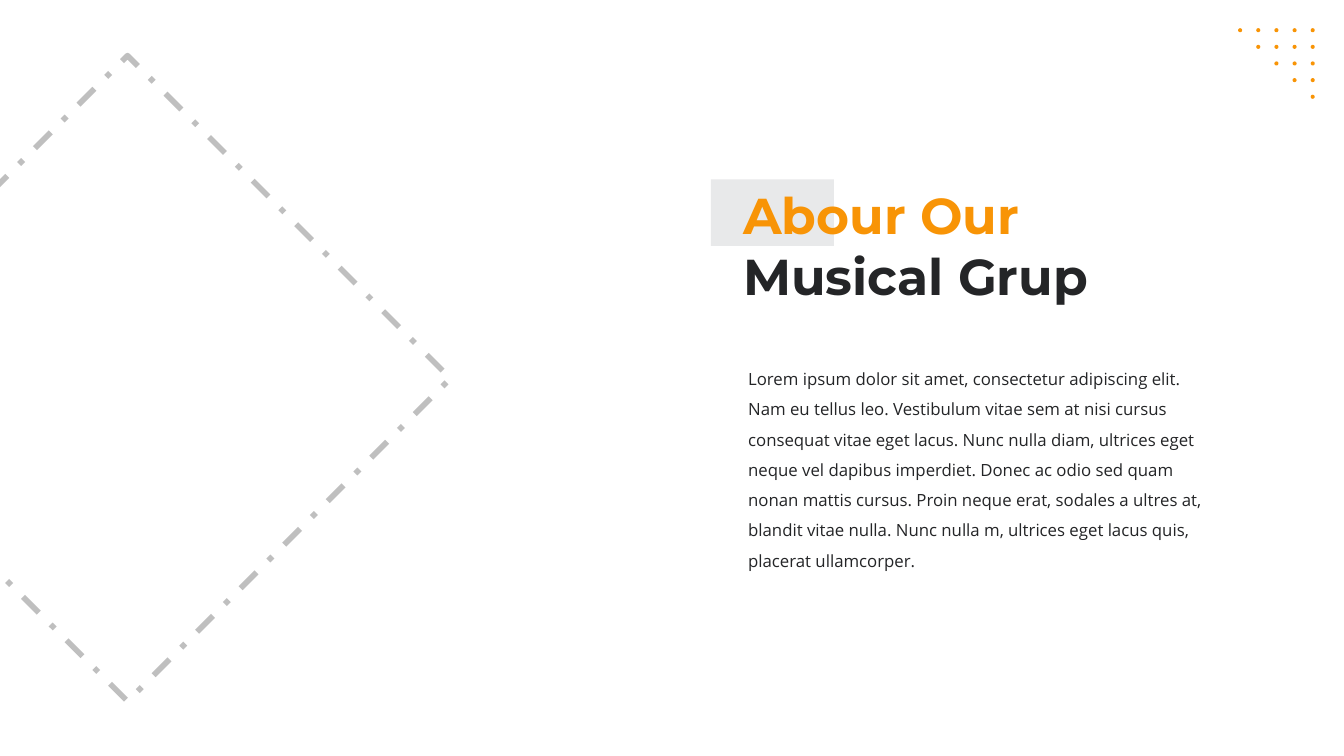
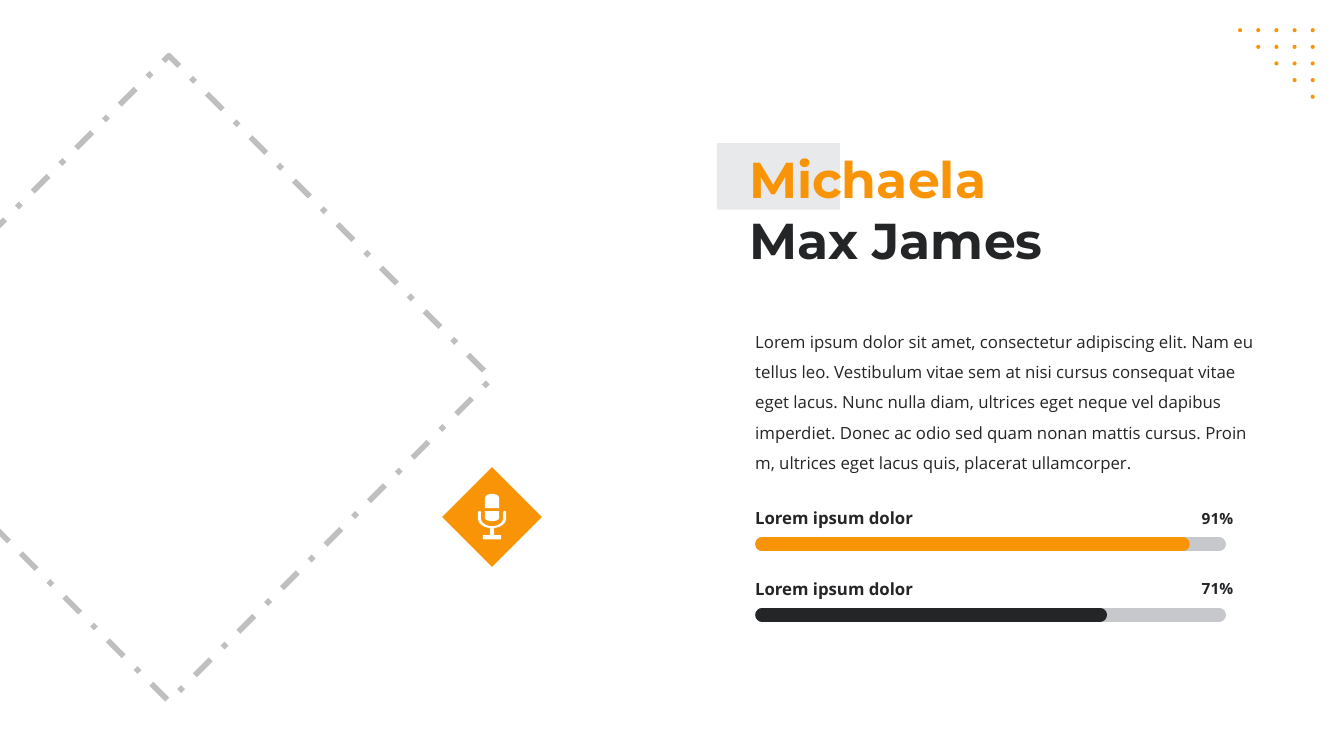
import math

import lxml.etree
import pptx
import pptx.dml.color
import pptx.enum.dml
import pptx.enum.shapes
import pptx.enum.text
import pptx.oxml.ns
import pptx.util

Inches = pptx.util.Inches
Pt = pptx.util.Pt
RGBColor = pptx.dml.color.RGBColor
Shape = pptx.enum.shapes.MSO_SHAPE
Align = pptx.enum.text.PP_ALIGN
qn = pptx.oxml.ns.qn

ORANGE = RGBColor(0xF8, 0x94, 0x06)
DARK = RGBColor(0x24, 0x25, 0x27)
WHITE = RGBColor(0xFF, 0xFF, 0xFF)
TAG_GRAY = RGBColor(0xE8, 0xE9, 0xEA)
DASH_GRAY = RGBColor(0xBF, 0xBF, 0xBF)
TRACK_GRAY = RGBColor(0xC6, 0xC8, 0xCB)
TITLE_FONT = "Montserrat"
TEXT_FONT = "Open Sans"

ABOUT = {
    "title": ("Abour Our", "Musical Grup"),
    "title_at": (7.27, 1.78),
    "body": "Lorem ipsum dolor sit amet, consectetur adipiscing elit. Nam eu tellus leo. "
            "Vestibulum vitae sem at nisi cursus consequat vitae eget lacus. Nunc nulla diam, "
            "ultrices eget neque vel dapibus imperdiet. Donec ac odio sed quam nonan mattis "
            "cursus. Proin neque erat, sodales a ultres at, blandit vitae nulla. Nunc nulla m, "
            "ultrices eget lacus quis, placerat ullamcorper.",
    "body_box": (7.32, 3.51, 4.87, 2.22),
    "diamond_left": -1,
}
MEMBER = {
    "title": ("Michaela", "Max James"),
    "title_at": (7.33, 1.42),
    "body": "Lorem ipsum dolor sit amet, consectetur adipiscing elit. Nam eu tellus leo. "
            "Vestibulum vitae sem at nisi cursus consequat vitae eget lacus. Nunc nulla diam, "
            "ultrices eget neque vel dapibus imperdiet. Donec ac odio sed quam nonan mattis "
            "cursus. Proin m, ultrices eget lacus quis, placerat ullamcorper.",
    "body_box": (7.39, 3.14, 5.16, 1.62),
    "diamond_left": -0.59,
}
SKILLS = [
    ("Lorem ipsum dolor", "91%", 11.73, ORANGE),
    ("Lorem ipsum dolor", "71%", 10.91, DARK),
]
SKILL_TOP, SKILL_STEP = 5, 0.7
BAR_LEFT, BAR_RIGHT = 7.56, 12.09
DOT_COUNT, DOT_SIZE = 5, 0.04
DOT_LEFT, DOT_TOP, DOT_STEP_X, DOT_STEP_Y = 12.28, 0.28, 0.18, 0.165


def place(shape, box):
    shape.left, shape.top, shape.width, shape.height = map(Inches, box)


def add_filled(slide, kind, box, color):
    shape = slide.shapes.add_shape(kind, *map(Inches, box))
    shape.shadow.inherit = False
    shape.fill.solid()
    shape.fill.fore_color.rgb = color
    shape.line.fill.background()
    return shape


def style(paragraph, font_name, size, color, bold=False, align=Align.LEFT):
    paragraph.alignment = align
    font = paragraph.font
    font.name, font.size, font.bold = font_name, Pt(size), bold
    font.color.rgb = color


def prepare_frame(frame):
    frame.word_wrap = True
    frame.auto_size = pptx.enum.text.MSO_AUTO_SIZE.NONE
    frame.vertical_anchor = pptx.enum.text.MSO_ANCHOR.TOP


def add_label(slide, box, text, size, align):
    label = slide.shapes.add_textbox(*map(Inches, box))
    prepare_frame(label.text_frame)
    paragraph = label.text_frame.paragraphs[0]
    paragraph.text = text
    style(paragraph, TEXT_FONT, size, DARK, True, align)


def add_bar(slide, right, y, color):
    bar = slide.shapes.add_connector(
        pptx.enum.shapes.MSO_CONNECTOR.STRAIGHT,
        Inches(BAR_LEFT), Inches(y), Inches(right), Inches(y))
    bar.line.color.rgb = color
    bar.line.width = Pt(10)
    properties = bar.element.spPr
    properties.find(qn("a:ln")).set("cap", "rnd")
    lxml.etree.SubElement(properties, qn("a:effectLst"))


def add_diamond_outline(slide, left):
    diamond = slide.shapes.add_shape(
        Shape.RECTANGLE, *map(Inches, (left, 1.49, 4.53, 4.53)))
    diamond.rotation = 45
    diamond.shadow.inherit = False
    diamond.fill.background()
    diamond.line.color.rgb = DASH_GRAY
    diamond.line.width = Pt(4)
    diamond.line.dash_style = pptx.enum.dml.MSO_LINE.DASH_DOT


def add_corner_dots(slide):
    for row in range(DOT_COUNT):
        for column in range(row, DOT_COUNT):
            left = DOT_LEFT + column * DOT_STEP_X
            top = DOT_TOP + row * DOT_STEP_Y
            add_filled(slide, Shape.OVAL, (left, top, DOT_SIZE, DOT_SIZE), ORANGE)


def add_title(slide, lines, left, top):
    title = slide.shapes.title
    place(title, (left, top, 4.28, 1.31))
    frame = title.text_frame
    prepare_frame(frame)
    frame.text = "\n".join(lines)
    for paragraph, color in zip(frame.paragraphs, (ORANGE, DARK)):
        style(paragraph, TITLE_FONT, 36, color, True)
    tag = add_filled(slide, Shape.RECTANGLE, (left - 0.22, top, 1.22, 0.66), TAG_GRAY)
    title.element.addprevious(tag.element)


def add_body(slide, text, box):
    body = slide.placeholders[1]
    place(body, box)
    prepare_frame(body.text_frame)
    paragraph = body.text_frame.paragraphs[0]
    paragraph.text = text
    paragraph.line_spacing = 1.5
    paragraph.space_before = Pt(0)
    properties = body.element.find(".//" + qn("a:pPr"))
    properties.set("marL", "0")
    properties.set("indent", "0")
    lxml.etree.SubElement(properties, qn("a:buNone"))
    style(paragraph, TEXT_FONT, 12, DARK)


def add_base_slide(presentation, content):
    slide = presentation.slides.add_slide(presentation.slide_layouts[1])
    add_diamond_outline(slide, content["diamond_left"])
    add_corner_dots(slide)
    add_title(slide, content["title"], *content["title_at"])
    add_body(slide, content["body"], content["body_box"])
    return slide


def arc(center_x, center_y, radius_x, radius_y, start, end, steps=16):
    angles = [math.radians(start + (end - start) * i / steps) for i in range(steps + 1)]
    return [(center_x + radius_x * math.cos(a), center_y + radius_y * math.sin(a))
            for a in angles]


def add_microphone(slide):
    badge = add_filled(slide, Shape.RECTANGLE, (4.53, 4.78, 0.7, 0.7), ORANGE)
    badge.rotation = 45
    middle = 4.88
    head = arc(middle, 4.94, 0.07, 0.04, 180, 360) + [(4.95, 5.04), (4.81, 5.04)]
    chin = arc(middle, 5.14, 0.07, 0.03, 0, 180) + [(4.81, 5.07), (4.95, 5.07)]
    stand = [(4.9, 5.31), (4.97, 5.31), (4.97, 5.35), (4.79, 5.35), (4.79, 5.31), (4.86, 5.31)]
    yoke = (arc(5.005, 5.085, 0.015, 0.015, 180, 360)
            + arc(middle, 5.14, 0.14, 0.1, 0, 82)
            + stand
            + arc(middle, 5.14, 0.14, 0.1, 98, 180)
            + arc(4.755, 5.085, 0.015, 0.015, 180, 360)
            + arc(middle, 5.14, 0.11, 0.08, 180, 0))
    contours = [[(Inches(x), Inches(y)) for x, y in part] for part in (yoke, head, chin)]
    builder = slide.shapes.build_freeform(*contours[0][0])
    for index, points in enumerate(contours):
        if index:
            builder.move_to(*points[0])
        builder.add_line_segments(points[1:], close=True)
    microphone = builder.convert_to_shape()
    microphone.shadow.inherit = False
    microphone.fill.solid()
    microphone.fill.fore_color.rgb = WHITE
    microphone.line.fill.background()


def add_skills(slide):
    for index, (name, percent, bar_end, color) in enumerate(SKILLS):
        top = SKILL_TOP + index * SKILL_STEP
        add_label(slide, (11.54, top, 0.79, 0.29), percent, 11, Align.RIGHT)
        add_label(slide, (7.39, top - 0.01, 2.99, 0.3), name, 12, Align.LEFT)
        add_bar(slide, BAR_RIGHT, top + 0.4, TRACK_GRAY)
        add_bar(slide, bar_end, top + 0.4, color)


def main():
    presentation = pptx.Presentation()
    presentation.slide_width = Inches(13.33)
    presentation.slide_height = Inches(7.5)
    add_base_slide(presentation, ABOUT)
    member_slide = add_base_slide(presentation, MEMBER)
    add_microphone(member_slide)
    add_skills(member_slide)
    presentation.save("out.pptx")


if __name__ == "__main__":
    main()
